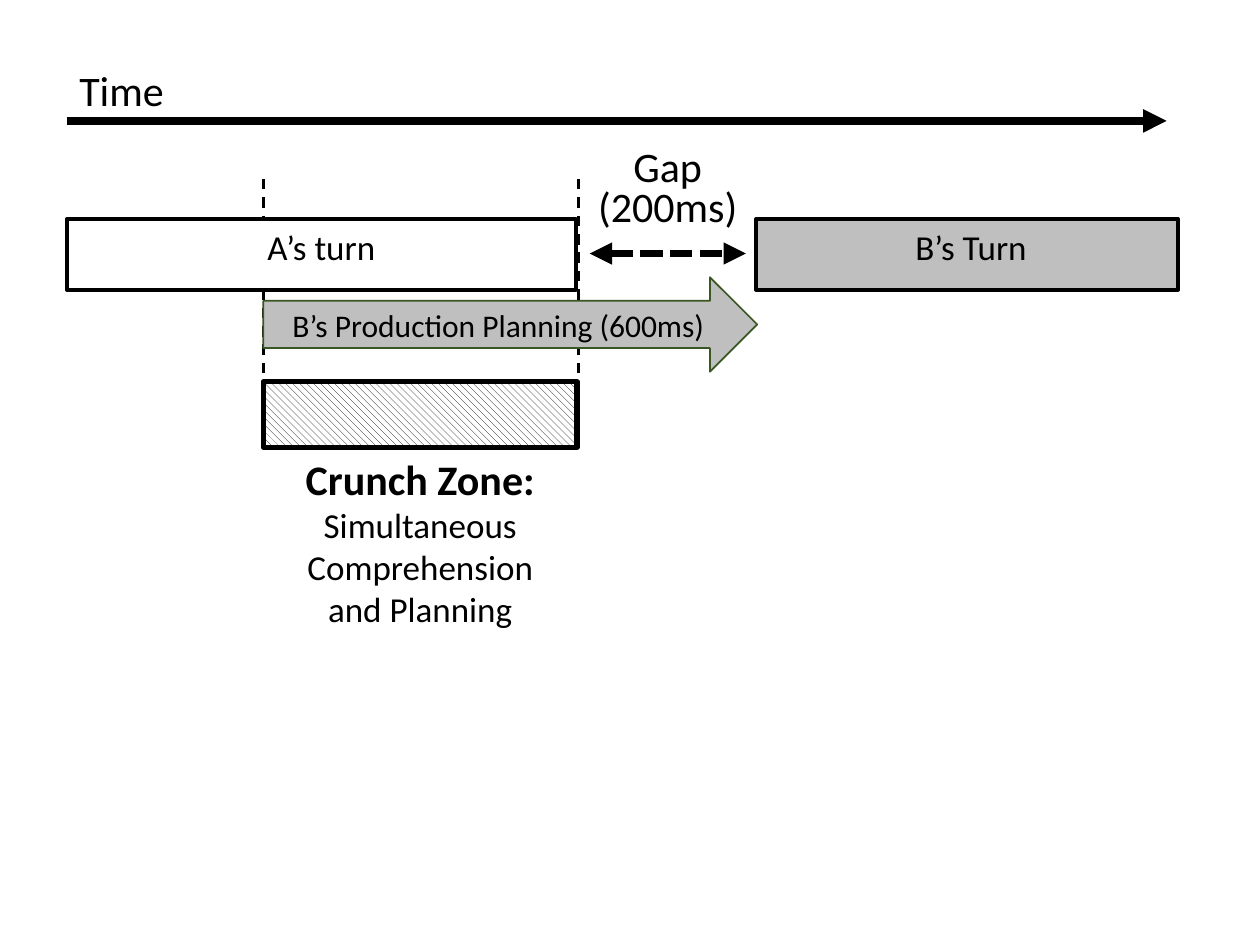
import dataclasses

import lxml.etree
import pptx
import pptx.dml.color
import pptx.enum.dml
import pptx.enum.shapes
import pptx.enum.text
import pptx.oxml.ns
import pptx.util

Pt = pptx.util.Pt
SHAPE = pptx.enum.shapes.MSO_SHAPE
DASH = pptx.enum.dml.MSO_LINE
ANCHOR = pptx.enum.text.MSO_ANCHOR
ALIGN = pptx.enum.text.PP_ALIGN


@dataclasses.dataclass(frozen=True)
class Theme:
    font: str = "Calibri"
    black: str = "000000"
    white: str = "FFFFFF"
    gray: str = "BFBFBF"
    green: str = "385723"
    large: int = 24
    medium: int = 20
    small: int = 18


THEME = Theme()


def rgb(value):
    return pptx.dml.color.RGBColor.from_string(value)


def write(tf, text, size=THEME.medium, bold=False, align=ALIGN.CENTER,
          spacing=None, first=True):
    """Write each line of text as a paragraph."""
    for i, line in enumerate(text.split("\n")):
        p = tf.paragraphs[0] if first and i == 0 else tf.add_paragraph()
        p.alignment = align
        p.line_spacing = spacing
        r = p.add_run()
        r.text = line
        r.font.name = THEME.font
        r.font.size = Pt(size)
        r.font.bold = bold
        r.font.color.rgb = rgb(THEME.black)


def add_label(s, x, y, w, h, wrap=False):
    tf = s.shapes.add_textbox(Pt(x), Pt(y), Pt(w), Pt(h)).text_frame
    tf.word_wrap = wrap
    tf.auto_size = pptx.enum.text.MSO_AUTO_SIZE.SHAPE_TO_FIT_TEXT
    return tf


def add_block(s, kind, x, y, w, h, fill=None, line=THEME.black, weight=2.25,
              anchor=ANCHOR.TOP):
    """Add an outlined shape; without a fill colour it is hatched."""
    sp = s.shapes.add_shape(kind, Pt(x), Pt(y), Pt(w), Pt(h))
    sp.shadow.inherit = False
    if fill:
        sp.fill.solid()
        sp.fill.fore_color.rgb = rgb(fill)
    else:
        sp.fill.patterned()
        sp.fill.pattern = pptx.enum.dml.MSO_PATTERN.WIDE_DOWNWARD_DIAGONAL
        sp.fill.fore_color.rgb = rgb(THEME.black)
        sp.fill.back_color.rgb = rgb(THEME.white)
    sp.line.color.rgb = rgb(line)
    sp.line.width = Pt(weight)
    sp.text_frame.vertical_anchor = anchor
    return sp.text_frame


def add_line(s, x1, y1, x2, y2, weight, dash=None, ends=()):
    """Add a straight line; ends names the ends that get an arrowhead."""
    sp = s.shapes.add_connector(pptx.enum.shapes.MSO_CONNECTOR.STRAIGHT,
                                Pt(x1), Pt(y1), Pt(x2), Pt(y2))
    sp.line.color.rgb = rgb(THEME.black)
    sp.line.width = Pt(weight)
    if dash:
        sp.line.dash_style = dash
    qn = pptx.oxml.ns.qn
    ln = sp.line._get_or_add_ln()
    for end in ends:
        lxml.etree.SubElement(ln, qn(f"a:{end}"), type="triangle")
    lxml.etree.SubElement(sp._element.spPr, qn("a:effectLst"))


def main():
    prs = pptx.Presentation()
    prs.slide_width, prs.slide_height = Pt(720), Pt(540)
    s = prs.slides.add_slide(prs.slide_layouts[6])

    left = 38.2          # start of the time axis and of A's turn
    crunch_left = 150.5  # start of B's planning
    crunch_w = 179.3
    b_left = 432         # start of B's turn
    turn_top, turn_h = 125.3, 40.3
    crunch_top, crunch_h = 218.2, 37.4

    # Limits of the crunch zone
    for x, bottom in ((crunch_left, 218.2), (330.5, 219.6)):
        add_line(s, x, 102.2, x, bottom, 1.5, DASH.DASH)

    # Turns
    for text, x, w, fill in ((" B’s Turn", b_left, 241.2, THEME.gray),
                             ("A’s turn", left, 290.9, THEME.white)):
        write(add_block(s, SHAPE.RECTANGLE, x, turn_top, w, turn_h, fill), text)

    # Gap between the turns
    write(add_label(s, 334.1, 82.1, 95, 54.7), "Gap\n(200ms)",
          size=THEME.large, spacing=0.8)
    add_line(s, 337, 144.9, 426.2, 144.9, 4.25, DASH.SQUARE_DOT,
             ends=("headEnd", "tailEnd"))

    # Crunch zone caption
    tf = add_label(s, crunch_left, crunch_top + crunch_h, crunch_w, 108.7,
                   wrap=True)
    write(tf, "Crunch Zone:", size=THEME.large, bold=True)
    write(tf, "Simultaneous\nComprehension\nand Planning", first=False)

    # Time axis
    write(add_label(s, left, 33.1, 63.4, 36), "Time", size=THEME.large,
          align=ALIGN.LEFT)
    add_line(s, left, 69.1, 666.7, 69.1, 4.5, ends=("tailEnd",))

    # Planning arrow and hatched crunch zone
    tf = add_block(s, SHAPE.RIGHT_ARROW, crunch_left, 158.4, 282.2, 54,
                   THEME.gray, THEME.green, 1, ANCHOR.MIDDLE)
    write(tf, "B’s Production Planning (600ms)", size=THEME.small)
    add_block(s, SHAPE.RECTANGLE, crunch_left, crunch_top, crunch_w, crunch_h,
              weight=3)

    prs.save("out.pptx")


if __name__ == "__main__":
    main()
